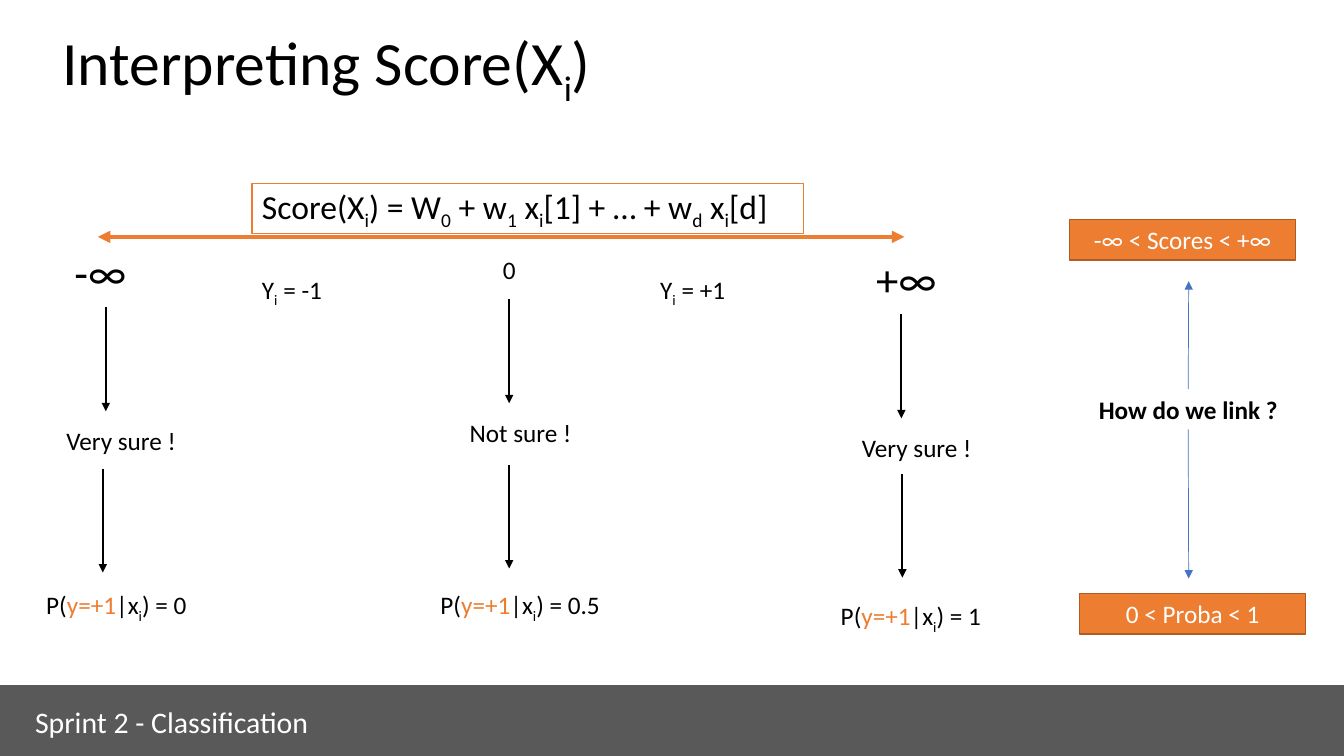
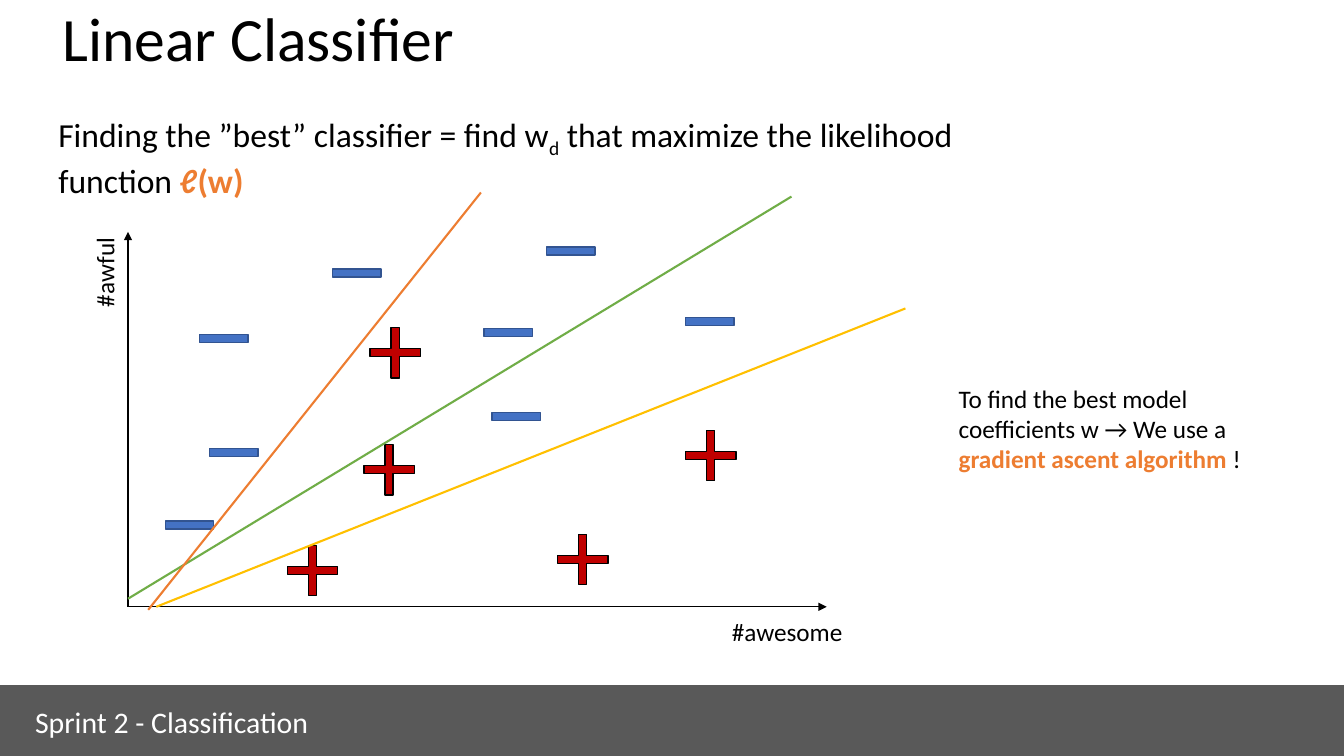
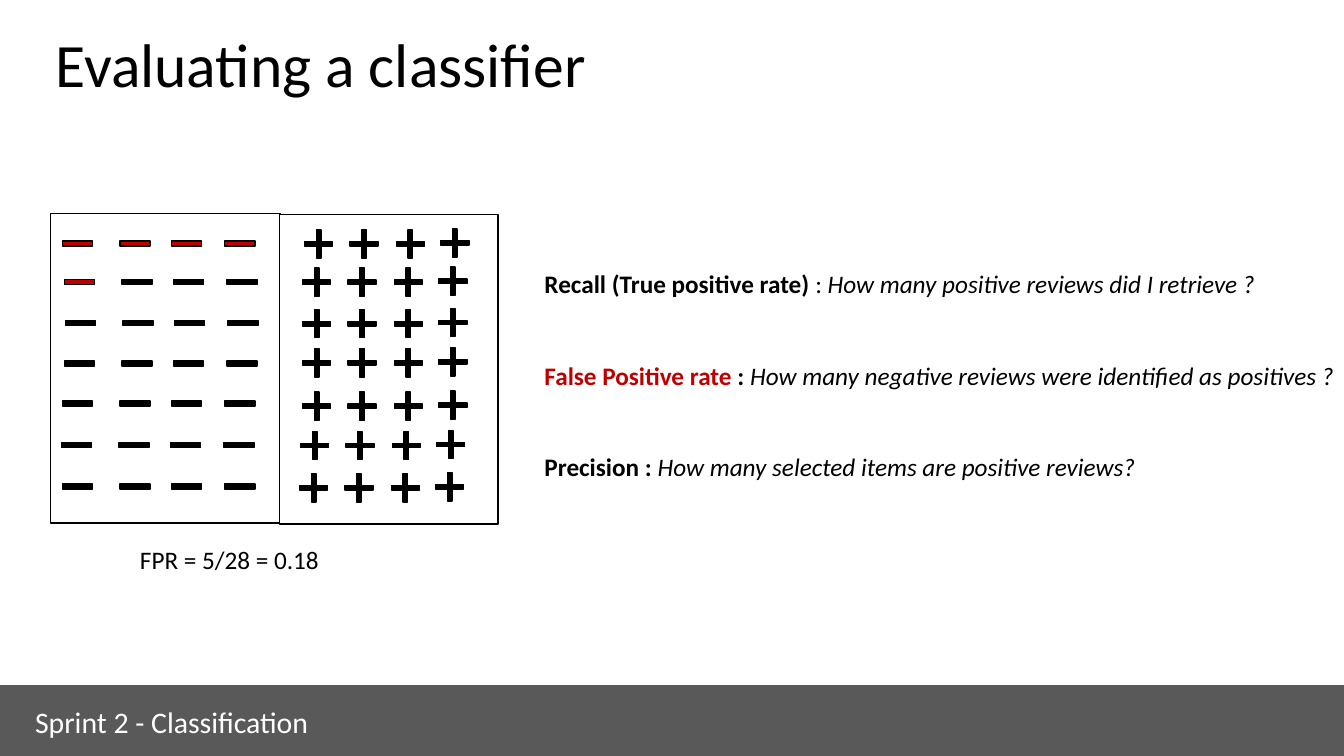
import pptx
import pptx.dml.color
import pptx.enum.shapes
import pptx.enum.text
import pptx.oxml.ns
import pptx.util
from lxml import etree

Inches, Pt = pptx.util.Inches, pptx.util.Pt
color = pptx.dml.color.RGBColor.from_string
qn = pptx.oxml.ns.qn
SHAPES = pptx.enum.shapes.MSO_SHAPE
CENTER = pptx.enum.text.PP_ALIGN.CENTER
LEFT = pptx.enum.text.PP_ALIGN.LEFT
TOP = pptx.enum.text.MSO_ANCHOR.TOP

BLACK, WHITE, GRAY = "000000", "FFFFFF", "595959"
ORANGE, DARK_ORANGE, RED = "ED7D31", "AF5C24", "C00000"
BLUE, DARK_BLUE, GREEN, YELLOW = "4472C4", "325491", "70AD47", "FFC000"
SUB = {"subscript": True}
BOLD = {"bold": True}
ITALIC = {"italic": True}
ACCENT = {"ink": ORANGE, "bold": True}


def write(shape, *paragraphs, size=18, ink=BLACK, bold=False, align=LEFT,
          anchor=None, line_spacing=None, gap=0):
    """Fill a shape with paragraphs, each a list of strings or (string, format) pairs."""
    frame = shape.text_frame
    frame.word_wrap = True
    frame.auto_size = pptx.enum.text.MSO_AUTO_SIZE.NONE
    if anchor is not None:
        frame.vertical_anchor = anchor
    for index, runs in enumerate(paragraphs):
        paragraph = frame.add_paragraph() if index else frame.paragraphs[0]
        paragraph.alignment = align
        paragraph.space_before = Pt(gap if index else 0)
        if line_spacing:
            paragraph.line_spacing = line_spacing
        for item in runs:
            text, style = (item, {}) if isinstance(item, str) else item
            run = paragraph.add_run()
            run.text = text
            run.font.name = "Calibri"
            run.font.size = Pt(size)
            run.font.bold = style.get("bold", bold)
            run.font.italic = style.get("italic", False)
            run.font.color.rgb = color(style.get("ink", ink))
            if style.get("subscript"):
                run._r.get_or_add_rPr().set("baseline", "-25000")


def add_box(slide, kind, box, fill, line):
    shape = slide.shapes.add_shape(kind, *map(Inches, box))
    shape.shadow.inherit = False
    shape.fill.solid()
    shape.fill.fore_color.rgb = color(fill)
    shape.line.color.rgb = color(line)
    shape.line.width = Pt(1)
    if kind == SHAPES.CROSS:
        shape.adjustments[0] = 0.42
    return shape


presentation = pptx.Presentation()
presentation.slide_width = Inches(13.33)
presentation.slide_height = Inches(7.5)

# Titles and footer bands
TITLE_ONLY, TITLE_AND_BODY = 5, 1
slides = []
for layout, left, top, title in [
    (TITLE_ONLY, 0.52, 0.2, ["Interpreting Score(X", ("i", SUB), ")"]),
    (TITLE_ONLY, 0.52, 0.03, ["Linear Classifier"]),
    (TITLE_AND_BODY, 0.45, 0.29, ["Evaluating a classifier"]),
]:
    slide = presentation.slides.add_slide(presentation.slide_layouts[layout])
    heading = slide.shapes.title
    heading.left, heading.top = Inches(left), Inches(top)
    heading.width, heading.height = Inches(12), Inches(1.25)
    write(heading, title, size=44, anchor=TOP, line_spacing=0.9)
    add_box(slide, SHAPES.RECTANGLE, (-0.02, 6.8, 13.35, 0.7), GRAY, GRAY)
    footer = slide.shapes.add_textbox(*map(Inches, (0.25, 6.93, 3.36, 0.46)))
    write(footer, ["Sprint 2 - Classification"], size=21.3, ink=WHITE)
    slides.append(slide)
score_slide, linear_slide, evaluation_slide = slides

# Score slide: formula and range boxes
formula = add_box(score_slide, SHAPES.RECTANGLE, (2.5, 1.82, 5.47, 0.5), WHITE, ORANGE)
write(formula, ["Score(X", ("i", SUB), ") = W", ("0", SUB), " + w", ("1", SUB),
                " x", ("i", SUB), "[1] + … + w", ("d", SUB), " x", ("i", SUB), "[d]"],
      size=24)
for left, top, text in [(10.61, 2.18, "-∞ < Scores < +∞"), (10.71, 5.89, "0 < Proba < 1")]:
    range_box = add_box(score_slide, SHAPES.RECTANGLE, (left, top, 2.24, 0.4),
                        ORANGE, DARK_ORANGE)
    write(range_box, [text], ink=WHITE, align=CENTER)
link_label = score_slide.shapes.add_textbox(*map(Inches, (10.74, 3.86, 2.09, 0.4)))
write(link_label, ["How do we link ?"], bold=True, align=CENTER)

# Text labels
labels = [
    (score_slide, (0.64, 2.38, 1.48, 0.64), ["-∞"], 32),
    (score_slide, (8.59, 2.45, 1.48, 0.64), ["+∞"], 32),
    (score_slide, (4.89, 2.47, 0.8, 0.4), ["0"], 18),
    (score_slide, (2.5, 2.67, 1.2, 0.4), ["Y", ("i", SUB), " = -1"], 18),
    (score_slide, (6.45, 2.67, 1.2, 0.4), ["Y", ("i", SUB), " = +1"], 18),
    (linear_slide, (7.16, 6.07, 1.38, 0.4), ["#awesome"], 18),
    (linear_slide, (0.48, 1.08, 9.82, 0.91),
     ["Finding the ”best” classifier = find w", ("d", SUB),
      " that maximize the likelihood function ",
      ("ℓ", {**ACCENT, **ITALIC}), ("(w)", ACCENT)], 24),
    (linear_slide, (9.41, 3.75, 3.67, 1.01),
     ["To find the best model coefficients w → We use a ",
      ("gradient ascent algorithm ", ACCENT), "!"], 18),
    (evaluation_slide, (1.29, 5.35, 3.33, 0.4), ["FPR = 5/28 = 0.18"], 18),
]
for left, top, verdict, chance_left, chance_top, chance in [
    (0.56, 4.17, "Very sure !", 0.36, 5.8, "0"),
    (4.56, 4.09, "Not sure !", 4.27, 5.8, "0.5"),
    (8.45, 4.24, "Very sure !", 8.24, 5.91, "1"),
]:
    labels.append((score_slide, (left, top, 2.3, 0.4), [verdict], 18))
    labels.append((score_slide, (chance_left, chance_top, 1.82, 0.4),
                   ["P(", ("y=+1", {"ink": ORANGE}), "|x", ("i", SUB), f") = {chance}"], 18))
for slide, box, runs, size in labels:
    write(slide.shapes.add_textbox(*map(Inches, box)), runs, size=size)

awful_label = linear_slide.shapes.add_textbox(*map(Inches, (0.5, 2.41, 1.07, 0.4)))
awful_label.rotation = 270
write(awful_label, ["#awful"])

# Linear classifier slide: positive and negative points
for left, top in [(3.61, 4.41), (2.85, 5.41), (5.53, 5.3), (3.67, 3.25), (6.8, 4.27)]:
    add_box(linear_slide, SHAPES.CROSS, (left, top, 0.5, 0.5), RED, BLACK)
for left, top in [(5.42, 2.45), (1.98, 3.32), (4.88, 4.09), (2.08, 4.45),
                  (6.8, 3.15), (3.3, 2.67), (4.8, 3.26), (1.64, 5.17)]:
    add_box(linear_slide, SHAPES.RECTANGLE, (left, top, 0.48, 0.08), BLUE, DARK_BLUE)

# Lines and arrows
lines = [
    (score_slide, (0.97, 2.35), (8.97, 2.35), ORANGE, 3, ["headEnd", "tailEnd"]),
    (linear_slide, (1.27, 6.02), (1.27, 2.3), BLACK, 1, ["tailEnd"]),
    (linear_slide, (1.27, 6.02), (8.2, 6.02), BLACK, 1, ["tailEnd"]),
    (linear_slide, (1.27, 5.94), (7.85, 1.95), GREEN, 1.5, []),
    (linear_slide, (1.47, 6.05), (4.77, 1.91), ORANGE, 1.5, []),
    (linear_slide, (1.55, 6.02), (8.98, 3.06), YELLOW, 1.5, []),
    (score_slide, (11.79, 3.86), (11.79, 2.79), BLUE, 0.5, ["tailEnd"]),
    (score_slide, (11.79, 4.26), (11.79, 5.74), BLUE, 0.5, ["tailEnd"]),
]
for x, y in [(1.05, 3.05), (5.05, 2.97), (8.94, 3.12),
             (1.02, 4.65), (5.05, 4.61), (8.95, 4.7)]:
    lines.append((score_slide, (x, y), (x, y + 1.03), BLACK, 1.5, ["tailEnd"]))
for slide, start, end, ink, width, arrowheads in lines:
    connector = slide.shapes.add_connector(
        pptx.enum.shapes.MSO_CONNECTOR.STRAIGHT, *map(Inches, start + end))
    if slide is score_slide and ink == BLUE:
        connector.begin_connect(link_label, 0 if end[1] < start[1] else 2)
    connector.line.color.rgb = color(ink)
    connector.line.width = Pt(width)
    outline = connector.line._get_or_add_ln()
    for arrowhead in arrowheads:
        etree.SubElement(outline, qn(f"a:{arrowhead}"), type="triangle")
    etree.SubElement(connector._element.spPr, qn("a:effectLst"))

# Evaluation slide: definitions
definitions = evaluation_slide.placeholders[1]
definitions.left, definitions.top = Inches(5.3), Inches(2.61)
definitions.width, definitions.height = Inches(8.03), Inches(2.83)
definitions.text_frame.margin_right = 0
write(definitions,
      [("Recall (True positive rate) ", BOLD), ": ",
       ("How many positive reviews did I retrieve ?", ITALIC)],
      [("False Positive rate ", {"ink": RED, "bold": True}), (": ", BOLD),
       ("How many negative reviews were identified as positives ?", ITALIC)],
      [("Precision : ", BOLD), ("How many selected items are positive reviews?", ITALIC)],
      anchor=TOP, gap=44)
for paragraph in definitions.text_frame.paragraphs:
    properties = paragraph._p.get_or_add_pPr()
    properties.set("marL", "0")
    properties.set("indent", "0")
    etree.SubElement(properties, qn("a:buNone"))

# Evaluation slide: negative and positive reviews
FALSE_POSITIVES = 5
for panel in [(0.5, 2.12, 2.28, 3.07), (2.77, 2.13, 2.17, 3.07)]:
    add_box(evaluation_slide, SHAPES.RECTANGLE, panel, WHITE, BLACK)

plus_rows = [(3.02, 2.28), (3, 2.66), (3, 3.07), (3, 3.46),
             (3, 3.89), (2.98, 4.28), (2.97, 4.7)]
for left, top in plus_rows:
    for dx, dy in [(0, 0), (0.45, 0), (0.91, 0), (1.35, -0.01)]:
        add_box(evaluation_slide, SHAPES.CROSS, (left + dx, top + dy, 0.28, 0.28),
                BLACK, BLACK)

minus_rows = [(0.62, 2.39), (0.64, 2.77), (0.65, 3.18), (0.64, 3.58),
              (0.62, 3.98), (0.61, 4.39), (0.62, 4.8)]
for row, (left, top) in enumerate(minus_rows):
    for column, dx in enumerate([0, 0.57, 1.08, 1.61]):
        fill = RED if row * 4 + column < FALSE_POSITIVES else BLACK
        add_box(evaluation_slide, SHAPES.RECTANGLE, (left + dx, top, 0.3, 0.05), fill, BLACK)

presentation.save("out.pptx")
